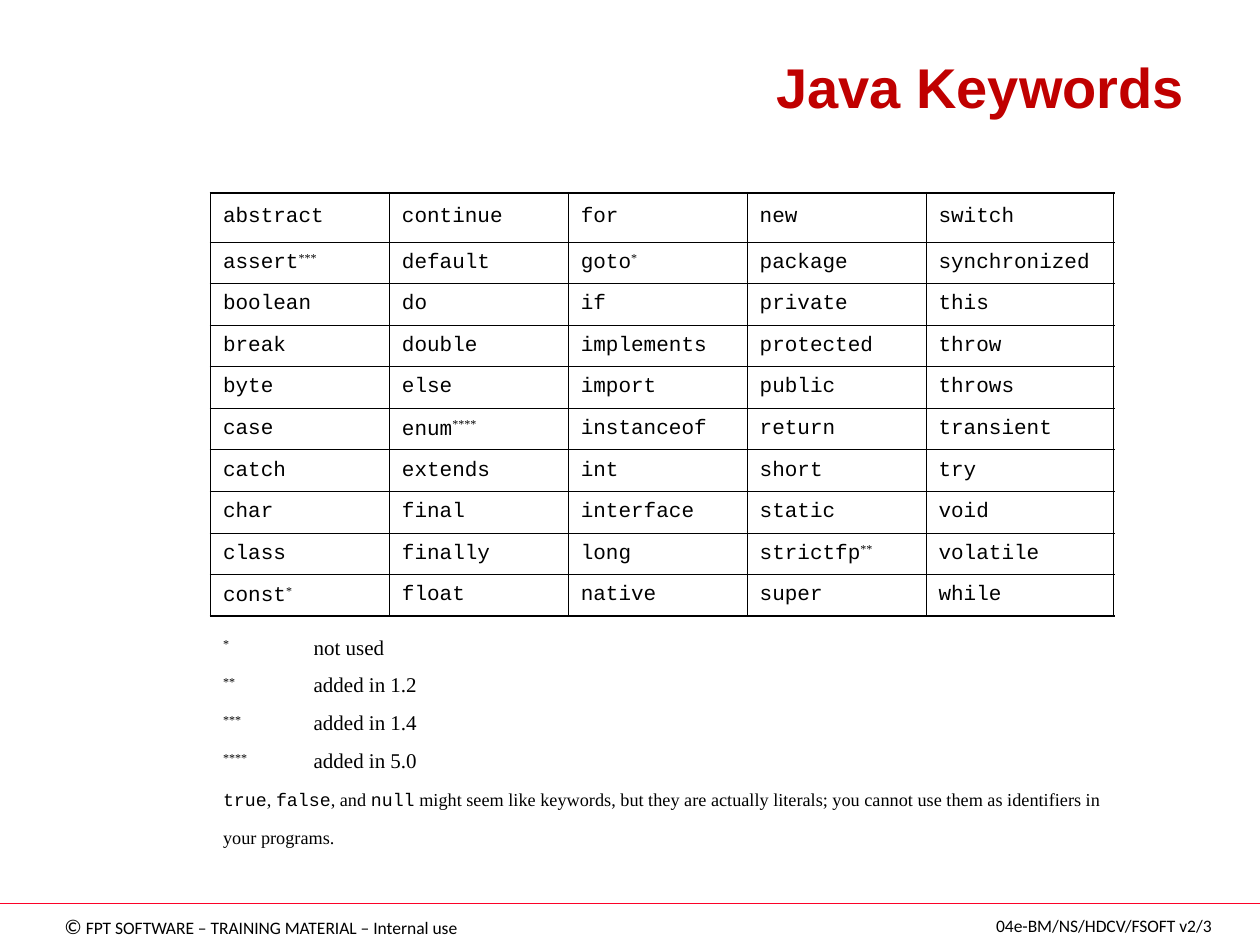
from dataclasses import dataclass

from lxml.etree import SubElement as Sub
from pptx import Presentation
from pptx.dml.color import RGBColor as RGB
from pptx.enum.shapes import MSO_CONNECTOR as Link
from pptx.enum.text import MSO_ANCHOR as Anchor, PP_ALIGN as Align
from pptx.oxml.ns import qn
from pptx.util import Inches, Pt


@dataclass(frozen=True)
class Theme:
    ink: str = "000000"
    red: str = "C00000"
    rule: str = "FC0128"
    sans: str = "Arial"
    foot: str = "Calibri"
    code: str = "Courier New"
    serif: str = "Times New Roman"
    head: int = 32
    note: int = 18
    body: int = 12
    small: int = 10
    thick: float = 1.08
    thin: float = 0.45


class Deck:
    def __init__(self, theme):
        self.theme = theme
        self.prs = Presentation()
        self.prs.slide_width = Inches(10)
        self.prs.slide_height = Inches(7.5)
        self.slide = self.prs.slides.add_slide(self.prs.slide_layouts[6])

    def fill(self, para, runs):
        for text, name, size, color, extra in runs:
            run = para.add_run()
            run.text = text
            run.font.color.rgb = RGB.from_string(color)
            look = {"name": name, "size": Pt(size), "bold": extra == "bold"}
            for key, value in look.items():
                setattr(run.font, key, value)
            if extra == "super":
                run.font._element.set("baseline", "30000")

    def text(self, box, runs, align, anchor, wrap):
        frame = self.slide.shapes.add_textbox(*map(Inches, box)).text_frame
        look = {"word_wrap": wrap, "vertical_anchor": anchor}
        for key, value in look.items():
            setattr(frame, key, value)
        para = frame.paragraphs[0]
        para.alignment = align
        self.fill(para, runs)

    def line(self, start, end, color, width):
        line = self.slide.shapes.add_connector(
            Link.STRAIGHT, *map(Inches, start + end))
        line.line.color.rgb = RGB.from_string(color)
        line.line.width = Pt(width)
        Sub(line._element.spPr, qn("a:effectLst"))

    def edge(self, cell, widths):
        props = cell._tc.get_or_add_tcPr()
        for side, width in zip("LRTB", widths):
            line = Sub(props, qn(f"a:ln{side}"), w=str(int(Pt(width))))
            if width:
                fill = Sub(line, qn("a:solidFill"))
                Sub(fill, qn("a:srgbClr"), val=self.theme.ink)
            else:
                Sub(line, qn("a:noFill"))

    def table(self, left, top, cols, rows, cells, anchor, grid):
        box = (left, top, sum(cols), sum(rows))
        table = self.slide.shapes.add_table(
            len(rows), len(cols), *map(Inches, box)).table
        for key in ("first_row", "horz_banding"):
            setattr(table, key, False)
        for col, width in zip(table.columns, cols):
            col.width = Inches(width)
        for row, height in zip(table.rows, rows):
            row.height = Inches(height)
        thick, thin = self.theme.thick, self.theme.thin
        for r in range(len(rows)):
            for c in range(len(cols)):
                cell = table.cell(r, c)
                outer = (c == 0, c == len(cols) - 1,
                         r == 0, r == len(rows) - 1)
                self.edge(cell, [(thick if out else thin) if grid else 0
                                 for out in outer])
                cell.fill.background()
                cell.vertical_anchor = anchor
                if c < len(cells[r]):
                    self.fill(cell.text_frame.paragraphs[0], cells[r][c])
        return table


WORDS = """
abstract continue for new switch
assert*** default goto* package synchronized
boolean do if private this
break double implements protected throw
byte else import public throws
case enum**** instanceof return transient
catch extends int short try
char final interface static void
class finally long strictfp** volatile
const* float native super while
"""
NOTES = ["not used", "added in 1.2", "added in 1.4", "added in 5.0"]


def main():
    look = Theme()
    deck = Deck(look)

    def star(count):
        return "*" * count, look.serif, look.body, look.ink, "super"

    def word(text):
        stem = text.rstrip("*")
        runs = [(stem, look.code, look.body, look.ink, None)]
        if stem != text:
            runs.append(star(len(text) - len(stem)))
        return runs

    def foot(text, size):
        return text, look.foot, size, look.ink, None

    deck.line((0, 7.17), (10, 7.17), look.rule, 0.75)
    deck.text((0.4, 7.2, 3.34, 0.3),
              [foot("©", look.body),
               foot(" FPT SOFTWARE – TRAINING MATERIAL – Internal use",
                    look.small)],
              Align.CENTER, Anchor.MIDDLE, False)
    deck.text((7.8, 7.21, 1.92, 0.27),
              [foot("04e-BM/NS/HDCV/FSOFT v2/3", look.small)],
              Align.CENTER, Anchor.MIDDLE, False)
    deck.text((0.5, 0, 9, 1),
              [("Java Keywords", look.sans, look.head, look.red, "bold")],
              Align.RIGHT, Anchor.BOTTOM, True)

    words = [[word(text) for text in row.split()]
             for row in WORDS.strip().splitlines()]
    deck.table(1.67, 1.53, [1.42] * 4 + [1.49], [0.39] + [0.33] * 9,
               words, Anchor.MIDDLE, True)

    notes = [[[star(count)], [(text, look.serif, look.body, look.ink, None)]]
             for count, text in enumerate(NOTES, 1)]
    parts = ["true", ", ", "false", ", and ", "null",
             " might seem like keywords, but they are actually literals; "
             "you cannot use them as identifiers in your programs."]
    notes.append([[(text, (look.code, look.serif)[i % 2], look.note,
                    look.ink, "super") for i, text in enumerate(parts)]])
    table = deck.table(1.67, 5, [0.72, 6.45], [0.3] * 4 + [0.7],
                       notes, Anchor.TOP, False)
    table.cell(4, 0).merge(table.cell(4, 1))

    deck.prs.save("out.pptx")


if __name__ == "__main__":
    main()
